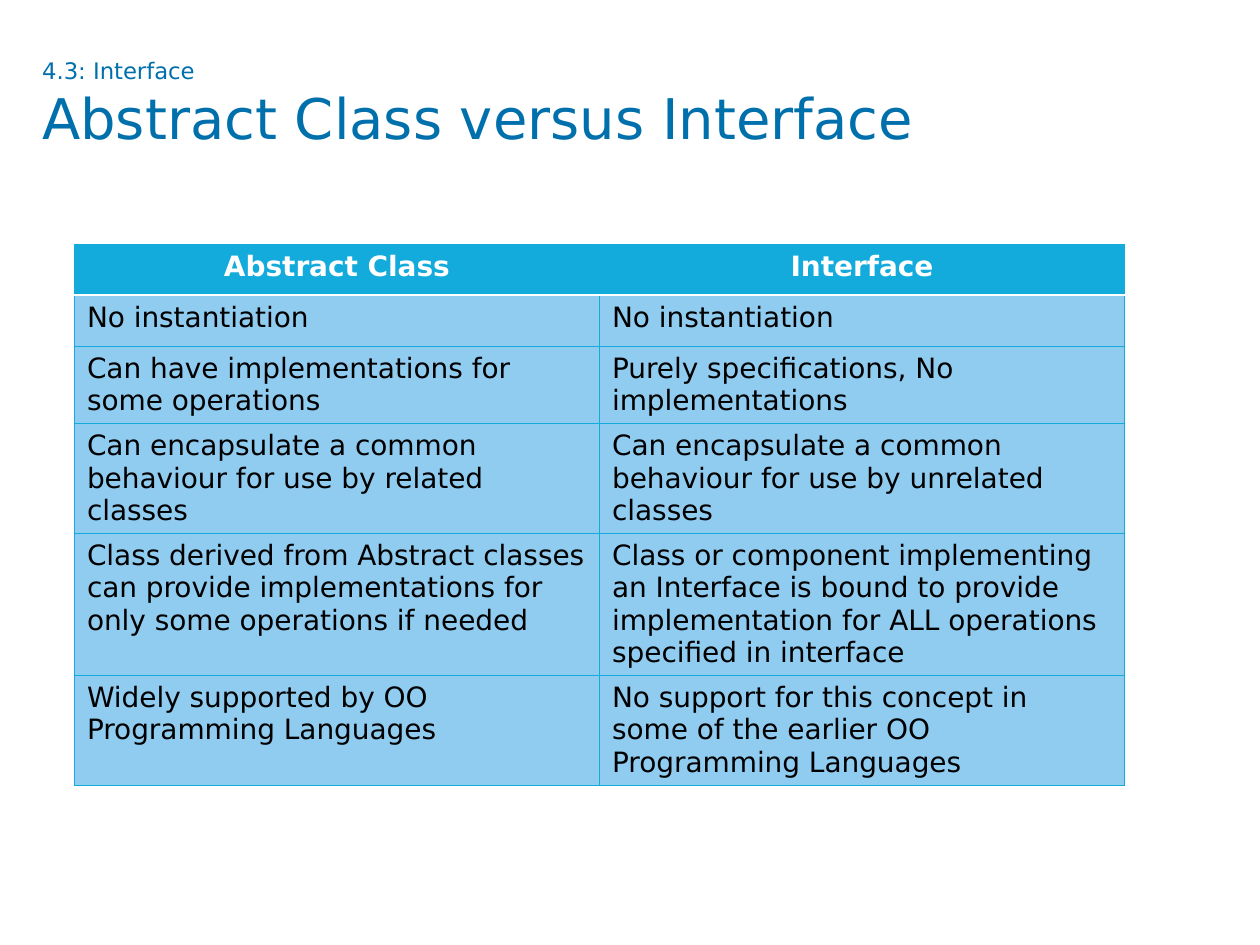
from lxml.etree import SubElement
from pptx import Presentation
from pptx.dml.color import RGBColor
from pptx.enum.text import MSO_ANCHOR, MSO_AUTO_SIZE, PP_ALIGN
from pptx.oxml.ns import qn
from pptx.util import Cm, Pt

THEME = {
    "font": "DejaVu Sans",
    "title": RGBColor(0x00, 0x70, 0xAD),
    "header": RGBColor(0x12, 0xAB, 0xDB),
    "body": RGBColor(0x90, 0xCB, 0xF0),
    "white": RGBColor(0xFF, 0xFF, 0xFF),
    "black": RGBColor(0x00, 0x00, 0x00),
    "section_size": Pt(13),
    "title_size": Pt(32),
    "table_size": Pt(16),
}

ROWS = [
    ("Abstract Class", "Interface"),
    ("No instantiation", "No instantiation"),
    ("Can have implementations for some operations",
     "Purely specifications, No implementations"),
    ("Can encapsulate a common behaviour for use by related classes",
     "Can encapsulate a common behaviour for use by unrelated classes"),
    ("Class derived from Abstract classes can provide implementations for only some operations if needed",
     "Class or component implementing an Interface is bound to provide implementation "
     "for ALL operations specified in interface"),
    ("Widely supported by OO Programming Languages",
     "No support for this concept in some of the earlier OO Programming Languages"),
]


def add_text(p, text, color, **formats):
    r = p.add_run()
    r.text = text
    r.font.color.rgb = color
    for name, value in {"name": THEME["font"], **formats}.items():
        setattr(r.font, name, value)


def add_border(cell, side, color, width):
    ln = SubElement(cell._tc.get_or_add_tcPr(), qn(f"a:ln{side}"), w=str(width))
    SubElement(SubElement(ln, qn("a:solidFill")), qn("a:srgbClr"), val=str(color))


prs = Presentation()
prs.slide_width, prs.slide_height = Cm(25.4), Cm(19.05)
s = prs.slides.add_slide(prs.slide_layouts[5])

sp = s.shapes.title
sp.left, sp.top, sp.width, sp.height = Cm(0.85), Cm(1.14), Cm(23.7), Cm(2.39)
tf = sp.text_frame
title_format = {
    "margin_left": 0, "margin_right": 0, "margin_top": 0, "margin_bottom": 0,
    "vertical_anchor": MSO_ANCHOR.TOP, "auto_size": MSO_AUTO_SIZE.NONE, "word_wrap": True,
}
for name, value in title_format.items():
    setattr(tf, name, value)
lines = [("4.3: Interface", "section_size"), ("Abstract Class versus Interface", "title_size")]
for i, (text, size) in enumerate(lines):
    p = tf.add_paragraph() if i else tf.paragraphs[0]
    p.alignment = PP_ALIGN.LEFT
    add_text(p, text, THEME["title"], size=THEME[size])

row_height = Cm(1.03)
table = s.shapes.add_table(len(ROWS), 2, Cm(1.5), Cm(4.92), Cm(21.17), row_height * len(ROWS)).table
for i, row in enumerate(ROWS):
    table.rows[i].height = row_height
    header = i == 0
    for j, text in enumerate(row):
        cell = table.cell(i, j)
        for side in "LRTB":
            under_header = (i, side) in ((0, "B"), (1, "T"))
            add_border(cell, side, THEME["white" if under_header else "header"],
                       Pt(1) if under_header else Pt(0.5))
        cell.fill.solid()
        cell.fill.fore_color.rgb = THEME["header" if header else "body"]
        p = cell.text_frame.paragraphs[0]
        p.alignment = PP_ALIGN.CENTER if header else PP_ALIGN.LEFT
        add_text(p, text, THEME["white" if header else "black"],
                 size=THEME["table_size"], bold=header)

prs.save("out.pptx")
